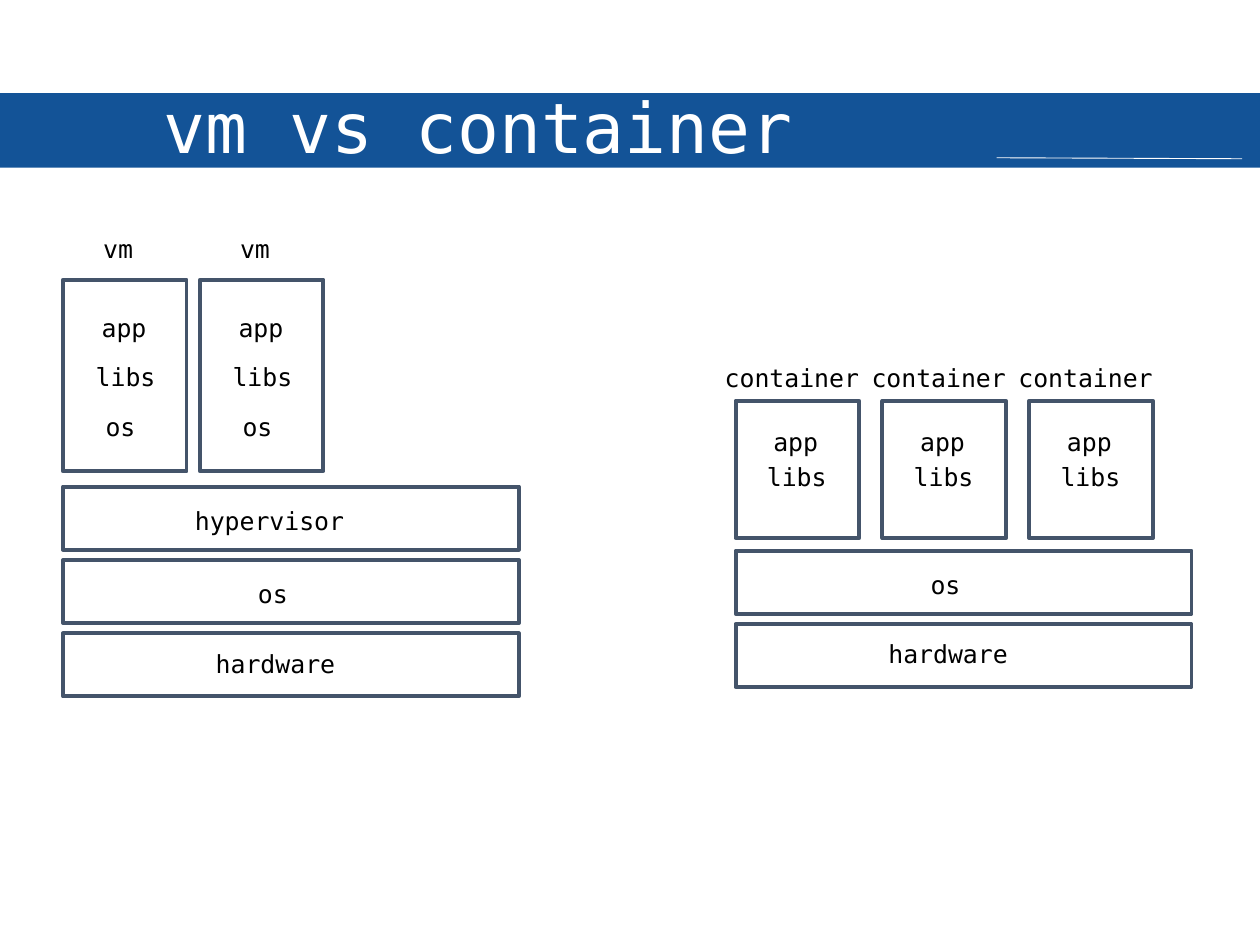
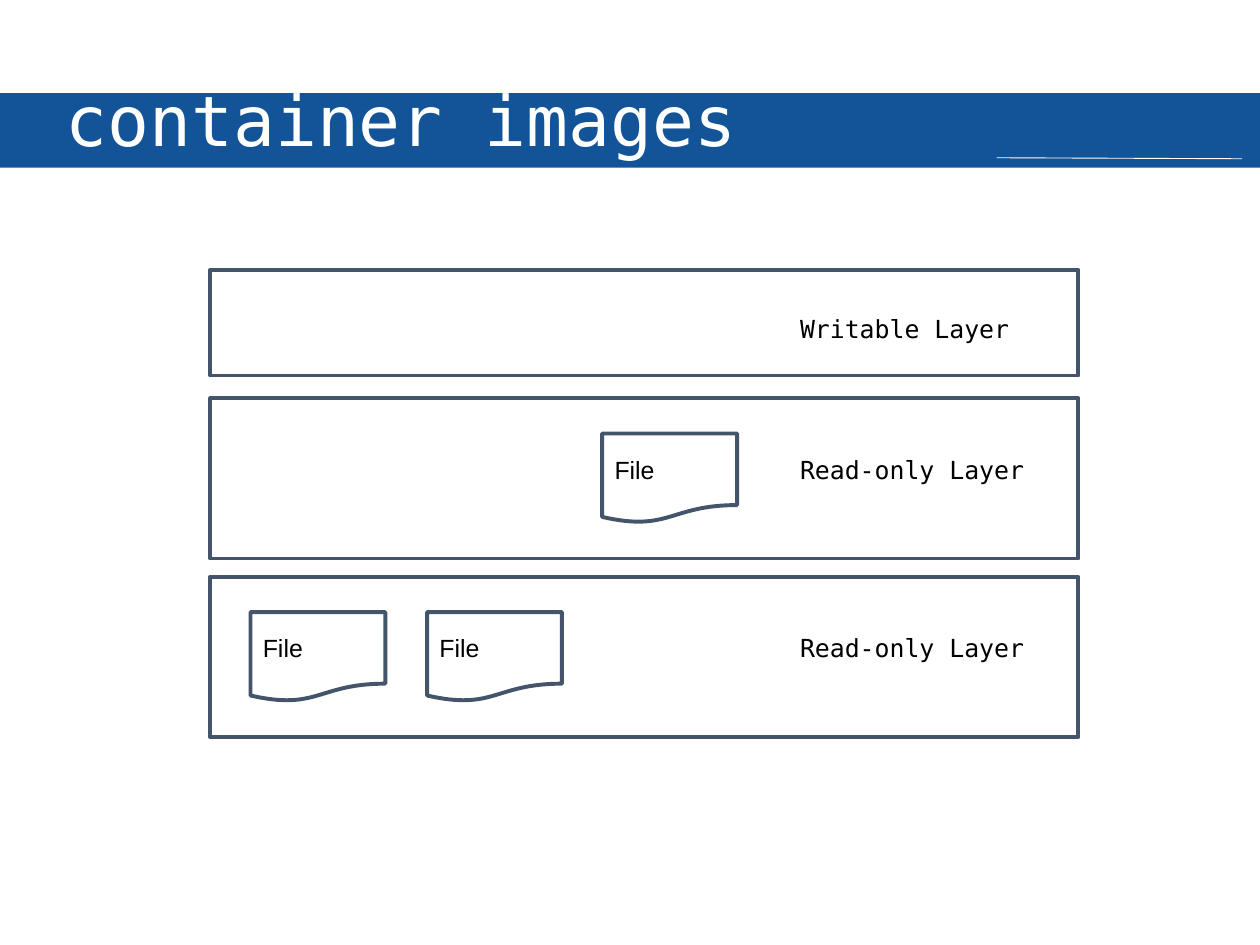
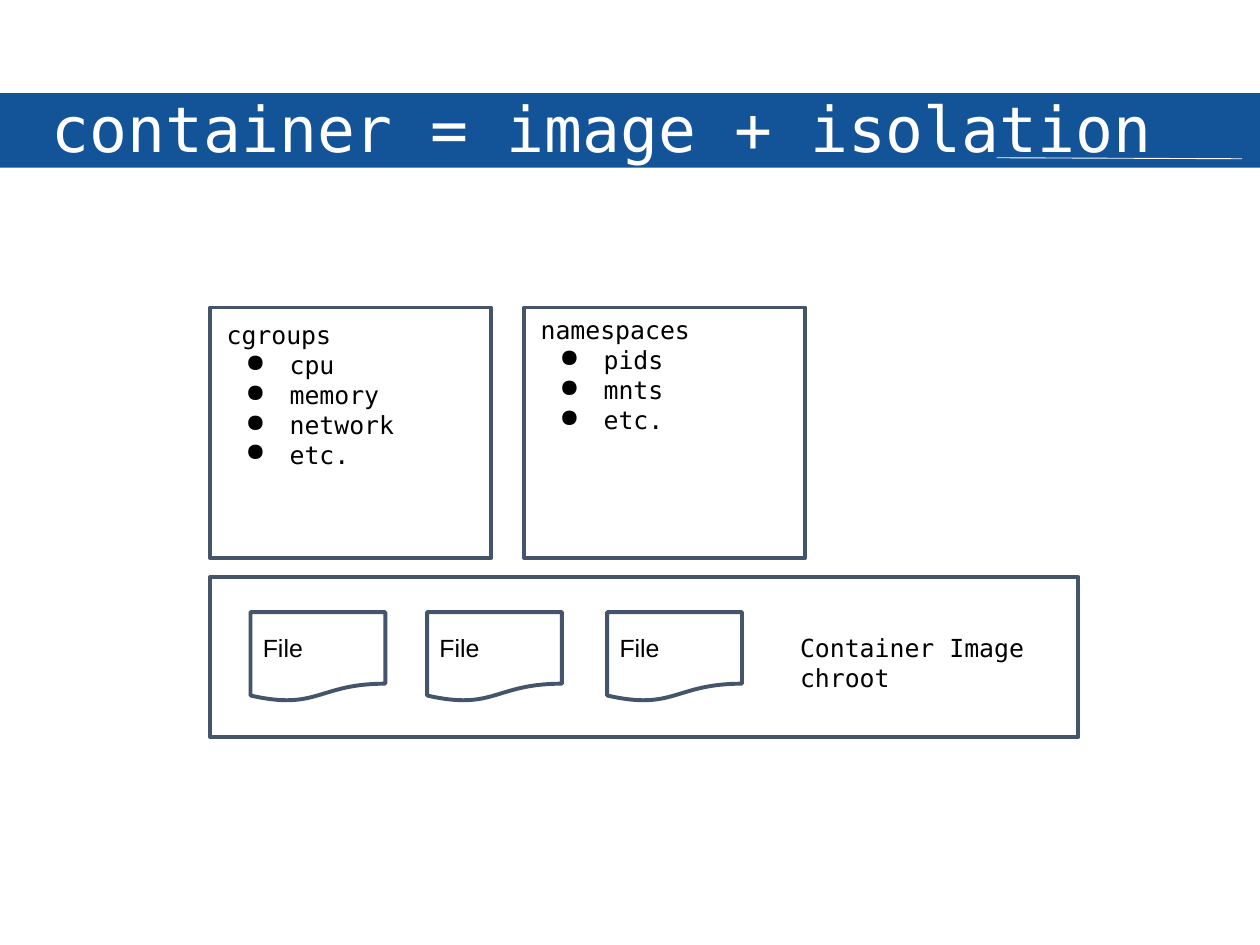
from lxml import etree
from pptx import Presentation
from pptx.dml.color import RGBColor
from pptx.enum.shapes import MSO_CONNECTOR, MSO_SHAPE, PP_PLACEHOLDER
from pptx.enum.text import MSO_ANCHOR, MSO_AUTO_SIZE, PP_ALIGN
from pptx.oxml.ns import qn
from pptx.util import Cm, Pt

PROCESS = MSO_SHAPE.FLOWCHART_PROCESS
DOCUMENT = MSO_SHAPE.FLOWCHART_DOCUMENT
RECTANGLE = MSO_SHAPE.RECTANGLE
STRAIGHT = MSO_CONNECTOR.STRAIGHT
TITLE = PP_PLACEHOLDER.TITLE
TOP, MIDDLE = MSO_ANCHOR.TOP, MSO_ANCHOR.MIDDLE
LEFT = PP_ALIGN.LEFT
NO_AUTOFIT = MSO_AUTO_SIZE.NONE

BLUE, SLATE, WHITE, BLACK = "135397", "44546A", "FFFFFF", "000000"
MONO, SANS = "DejaVu Sans Mono", "Arial"
BODY_SIZE = 14.2
INSET, TIGHT_INSET = 0.25, 0.2

# Offset of each label from the top left corner of its slab or unit, in cm
SLAB_LABELS = {"hypervisor": (2.41, 0.13), "os": (3.68, 0.13), "hardware": (2.83, 0.05)}
VM_LABELS = {"vm": (0.61, -1.12), "app": (0.58, 0.46), "libs": (0.46, 1.45), "os": (0.66, 2.46)}
CONTAINER_LABELS = {"container": (-0.42, -0.97), "app": (0.56, 0.33), "libs": (0.43, 1.02)}


def color(hex_string):
    return RGBColor.from_string(hex_string)


class Deck:
    def __init__(self):
        self.presentation = Presentation()
        self.presentation.slide_width = Cm(25.4)
        self.presentation.slide_height = Cm(19.05)
        self.layout = self.presentation.slide_layouts.get_by_name("Title Only")
        self.slide = None
        for placeholder in list(self.layout.placeholders):
            if placeholder.placeholder_format.type != TITLE:
                self.layout.shapes.element.remove(placeholder.element)

    def new_slide(self, title, left, top, width, size=39.8):
        self.slide = self.presentation.slides.add_slide(self.layout)
        heading = self.slide.shapes.title
        heading.left, heading.top = Cm(left), Cm(top)
        heading.width, heading.height = Cm(width), Cm(1.9)
        self.set_text(heading.text_frame, [title], MONO, size, WHITE)

    def share_band(self):
        """Draw the title band and its thin rule, then move both into the layout."""
        band = self.block(RECTANGLE, 0, 1.88, 25.4, 1.5, BLUE, None)
        rule = self.slide.shapes.add_connector(STRAIGHT, Cm(20.09), Cm(3.18), Cm(25.04), Cm(3.2))
        rule.line.color.rgb = color(WHITE)
        rule.line.width = Pt(0.5)
        etree.SubElement(rule.element.spPr, qn("a:effectLst"))
        for part in (band, rule):
            self.layout.shapes.element.append(part.element)

    def set_text(self, frame, lines, font=MONO, size=BODY_SIZE, ink=BLACK,
                 inset=INSET, anchor=TOP, bulleted=False):
        """Fill a text frame; with bulleted, every line after the first is a list item."""
        frame.word_wrap = True
        frame.auto_size = NO_AUTOFIT
        frame.vertical_anchor = anchor
        frame.margin_left = frame.margin_right = Cm(inset)
        frame.margin_top = frame.margin_bottom = Cm(inset)
        for index, line in enumerate(lines):
            paragraph = frame.add_paragraph() if index else frame.paragraphs[0]
            paragraph.alignment = LEFT
            if bulleted and index:
                self.bullet(paragraph)
            run = paragraph.add_run()
            run.text = line
            run.font.name = font
            run.font.size = Pt(size)
            run.font.color.rgb = color(ink)

    def bullet(self, paragraph):
        properties = paragraph._p.get_or_add_pPr()
        properties.set("marL", str(Cm(1.27)))
        properties.set("indent", str(-Cm(0.89)))
        etree.SubElement(properties, qn("a:buChar"), char="●")

    def block(self, kind, left, top, width, height, fill=WHITE, outline=SLATE):
        shape = self.slide.shapes.add_shape(kind, Cm(left), Cm(top), Cm(width), Cm(height))
        shape.shadow.inherit = False
        shape.fill.solid()
        shape.fill.fore_color.rgb = color(fill)
        if outline:
            shape.line.color.rgb = color(outline)
            shape.line.width = Pt(2.25)
        else:
            shape.line.fill.background()
        return shape

    def label(self, lines, left, top, width, height=1, **style):
        box = self.slide.shapes.add_textbox(Cm(left), Cm(top), Cm(width), Cm(height))
        self.set_text(box.text_frame, lines, **style)

    def slabs(self, left, top, names):
        """Stack wide slabs downwards, one for each name."""
        for row, name in enumerate(names):
            slab_top = top + row * 1.48
            self.block(PROCESS, left, slab_top, 9.19, 1.27)
            shift, drop = SLAB_LABELS[name]
            self.label([name], left + shift, slab_top + drop, 5)

    def units(self, left, top, height, pitch, count, labels):
        """Set equal boxes side by side, each with the same labels."""
        for column in range(count):
            unit_left = left + column * pitch
            self.block(PROCESS, unit_left, top, 2.49, height)
            for name, (shift, drop) in labels.items():
                self.label([name], unit_left + shift, top + drop, 3.8, inset=TIGHT_INSET)

    def layer(self, top, height, lines, drop=0.88, file_lefts=()):
        """Draw an image layer with its caption and the files it holds."""
        self.block(PROCESS, 4.24, top, 17.5, height)
        for left in file_lefts:
            file = self.block(DOCUMENT, left, top + 0.71, 2.72, 1.8)
            self.set_text(file.text_frame, ["File"], font=SANS, anchor=MIDDLE)
        self.label(lines, 15.88, top + drop, 5.49, 1.9)

    def feature(self, left, text_top, lines):
        """Draw a kernel feature box with a heading and a bullet list."""
        self.block(PROCESS, left, 6.2, 5.66, 5.05)
        self.label(lines, left + 0.08, text_top, 5.49, bulleted=True)


def main():
    deck = Deck()

    deck.new_slide("vm vs container", 3.05, 1.45, 13.41)
    deck.share_band()
    deck.slabs(1.27, 9.81, ["hypervisor", "os", "hardware"])
    deck.units(1.27, 5.64, 3.86, 2.76, 2, VM_LABELS)
    deck.slabs(14.83, 11.1, ["os", "hardware"])
    deck.units(14.83, 8.08, 2.77, 2.96, 3, CONTAINER_LABELS)

    deck.new_slide("container images", 1.07, 1.3, 20.29)
    deck.layer(5.44, 2.13, ["Writable Layer"], drop=0.63)
    deck.layer(8.03, 3.23, ["Read-only Layer"], file_lefts=[12.14])
    deck.layer(11.63, 3.23, ["Read-only Layer"], file_lefts=[5.05, 8.61])

    deck.new_slide("container = image + isolation", 0.79, 1.55, 23.5, size=36)
    deck.feature(4.24, 6.2, ["cgroups", "cpu", "memory", "network", "etc."])
    deck.feature(10.57, 6.1, ["namespaces", "pids", "mnts", "etc."])
    deck.layer(11.63, 3.23, ["Container Image", "chroot"], file_lefts=[5.05, 8.61, 12.24])

    deck.presentation.save("out.pptx")


if __name__ == "__main__":
    main()
